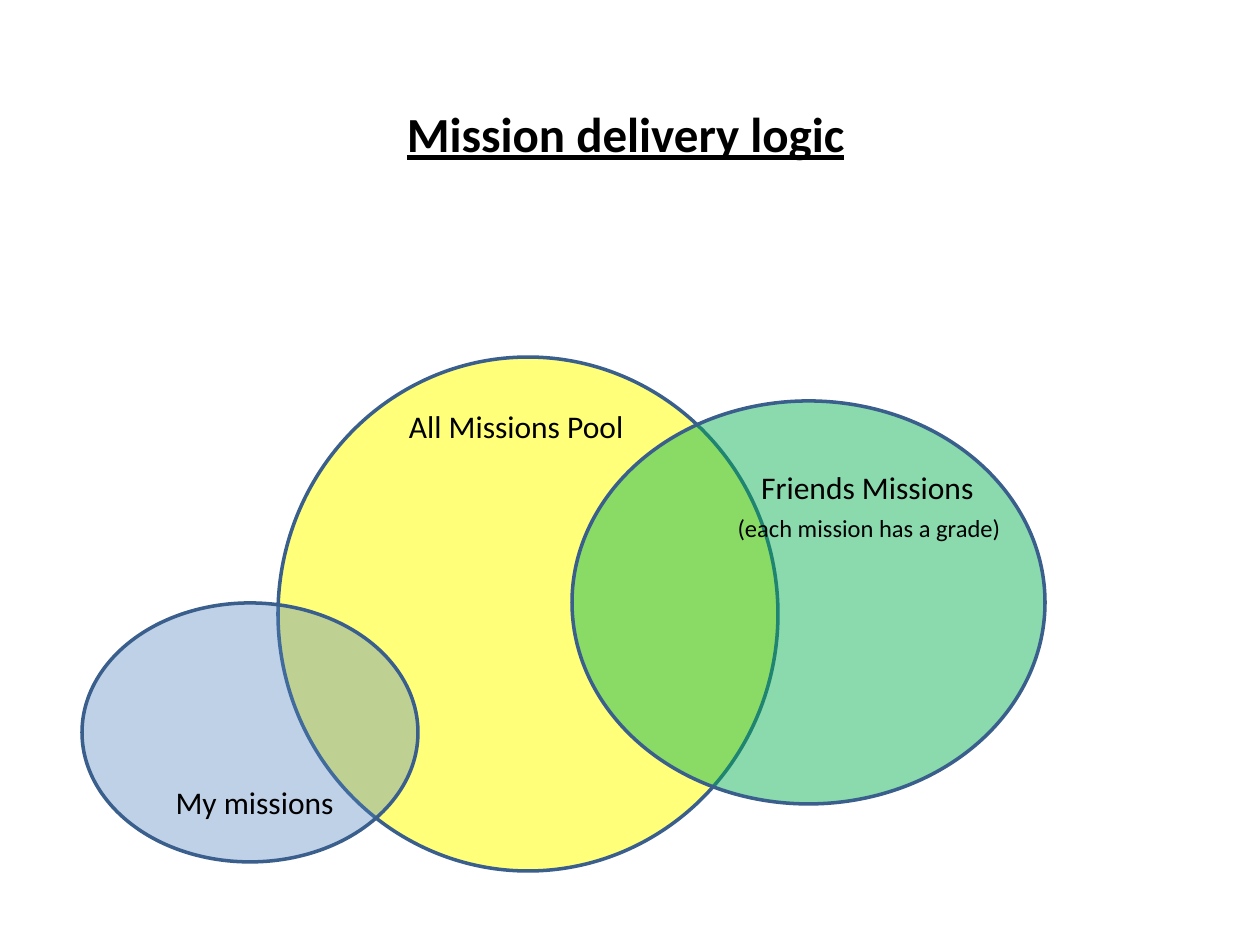
"""Builds the mission delivery logic slide: three overlapping mission sets."""
from lxml.etree import SubElement
from pptx import Presentation
from pptx.dml.color import RGBColor
from pptx.enum.shapes import MSO_SHAPE as Preset
from pptx.enum.text import MSO_ANCHOR as Anchor, MSO_AUTO_SIZE as AutoSize, PP_ALIGN as Align
from pptx.oxml.ns import qn
from pptx.util import Pt

PX = 914400 // 126


def rgb(hex_code):
    return RGBColor.from_string(hex_code)


def write_label(holder, wording, size, emphasis=None):
    frame = holder.text_frame
    frame.text = wording
    frame.word_wrap = True
    frame.auto_size = AutoSize.NONE
    frame.vertical_anchor = Anchor.TOP
    paragraph = frame.paragraphs[0]
    paragraph.alignment = Align.RIGHT
    font = paragraph.runs[0].font
    font.name = "Calibri"
    font.size = Pt(size)
    font.color.rgb = rgb("000000")
    font.bold = font.underline = emphasis


deck = Presentation()
deck.slide_width, deck.slide_height = 1260 * PX, 945 * PX
slide = deck.slides.add_slide(deck.slide_layouts[5])

heading = slide.shapes.title
heading.left, heading.top, heading.width, heading.height = (
    n * PX for n in (324, 97, 533, 72))
write_label(heading, "Mission delivery logic", 28, True)

mission_sets = [
    ((278, 357, 500, 514), "FFFF00", 52),
    ((572, 401, 473, 403), "00B050", 46),
    ((82, 603, 336, 259), "4F81BD", 36),
]
for box, colour, opacity in mission_sets:
    mission_set = slide.shapes.add_shape(Preset.OVAL, *(n * PX for n in box))
    mission_set.shadow.inherit = False
    mission_set.fill.solid()
    mission_set.fill.fore_color.rgb = rgb(colour)
    tint = mission_set.fill._xPr.find(qn("a:solidFill"))[0]
    SubElement(tint, qn("a:alpha")).set("val", str(opacity * 1000))
    mission_set.line.color.rgb = rgb("3A5F8C")
    mission_set.line.width = Pt(2)

set_labels = [
    ((730, 462, 256, 50), "Friends Missions", 18),
    ((152, 777, 194, 50), "My missions", 18),
    ((394, 401, 242, 50), "All Missions Pool", 18),
    ((708, 507, 305, 43), "(each mission has a grade)", 14),
]
for box, wording, size in set_labels:
    set_label = slide.shapes.add_textbox(*(n * PX for n in box))
    write_label(set_label, wording, size)

deck.save("out.pptx")
